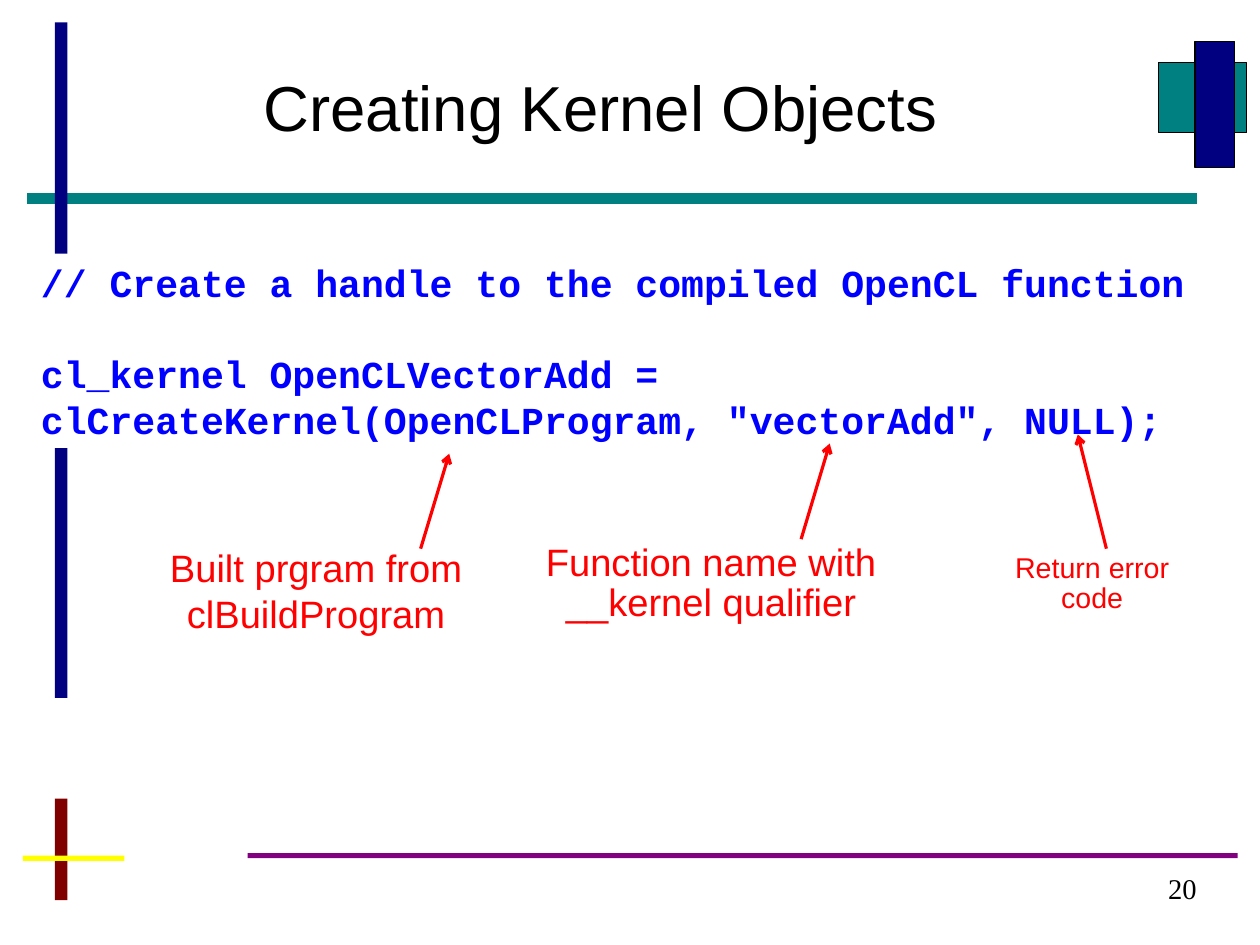
from dataclasses import dataclass

from lxml.etree import SubElement
from pptx import Presentation
from pptx.dml.color import RGBColor
from pptx.enum.shapes import MSO_CONNECTOR, MSO_SHAPE
from pptx.enum.text import MSO_ANCHOR, MSO_AUTO_SIZE, PP_ALIGN
from pptx.oxml.ns import qn
from pptx.util import Pt


@dataclass(frozen=True)
class Theme:
    """Colours, fonts and type sizes of the slide."""
    teal: str = "008080"
    navy: str = "000080"
    maroon: str = "800000"
    yellow: str = "FFFF00"
    purple: str = "800080"
    black: str = "000000"
    white: str = "FFFFFF"
    blue: str = "0000FF"
    red: str = "FF0000"
    sans: str = "Arial"
    mono: str = "Courier New"
    serif: str = "Times New Roman"
    head: int = 40
    text: int = 24
    small: int = 18


THEME = Theme()


def color(code):
    """Turn a hex code into a colour."""
    return RGBColor.from_string(code)


def add_block(slide, box, fill, edge=None):
    """Add a flat rectangle, outlined when an edge colour is given."""
    block = slide.shapes.add_shape(MSO_SHAPE.RECTANGLE, *map(Pt, box))
    block.shadow.inherit = False
    block.fill.solid()
    block.fill.fore_color.rgb = color(fill)
    if edge:
        block.line.color.rgb = color(edge)
        block.line.width = Pt(0.75)
    else:
        block.line.fill.background()
    return block


def add_line(slide, ends, shade, width, arrow=False):
    """Add a straight line, with an arrowhead at its end if asked."""
    line = slide.shapes.add_connector(MSO_CONNECTOR.STRAIGHT, *map(Pt, ends))
    line.line.color.rgb = color(shade)
    line.line.width = Pt(width)
    if arrow:
        SubElement(line.line._get_or_add_ln(), qn("a:tailEnd"), type="arrow")
    SubElement(line._element.spPr, qn("a:effectLst"))


def set_frame(shape, insets=(7.2, 3.6, 7.2, 3.6)):
    """Anchor the text at the top and set its insets."""
    frame = shape.text_frame
    frame.word_wrap = True
    frame.auto_size = MSO_AUTO_SIZE.NONE
    frame.vertical_anchor = MSO_ANCHOR.TOP
    left, top, right, bottom = map(Pt, insets)
    frame.margin_left, frame.margin_top = left, top
    frame.margin_right, frame.margin_bottom = right, bottom
    return frame


def add_text(para, text, face, size, shade, pitch, align=PP_ALIGN.CENTER, bold=False):
    """Add one formatted run to a paragraph."""
    para.alignment = align
    para.line_spacing = Pt(pitch)
    run = para.add_run()
    run.text = text
    run.font.name = face
    run.font.size = Pt(size)
    run.font.bold = bold
    run.font.color.rgb = color(shade)


def add_title(slide, text):
    """Move and fill the title placeholder."""
    title = slide.shapes.title
    title.left, title.top, title.width, title.height = map(Pt, (148.2, 45.4, 460, 49))
    frame = set_frame(title)
    add_text(frame.paragraphs[0], text, THEME.sans, THEME.head, THEME.black, 41.8)


def add_code(slide, box, groups):
    """Add groups of code lines, one line height apart, on a white panel."""
    pitch = 28.8
    frame = set_frame(add_block(slide, box, THEME.white))
    para = None
    for group in groups:
        for place, text in enumerate(group):
            first = para is None
            para = frame.paragraphs[0] if first else frame.add_paragraph()
            if place == 0 and not first:
                para.space_before = Pt(pitch)
            add_text(para, text, THEME.mono, THEME.text, THEME.blue, pitch,
                     PP_ALIGN.LEFT, True)


def add_note(slide, box, text, size, pitch, ends):
    """Add a red note and the arrow from it to the code."""
    frame = set_frame(slide.shapes.add_textbox(*map(Pt, box)))
    add_text(frame.paragraphs[0], text, THEME.sans, size, THEME.red, pitch)
    add_line(slide, ends, THEME.red, 2, True)


def add_number(slide, text):
    """Add the page number at the lower right."""
    box = slide.shapes.add_textbox(*map(Pt, (630.7, 550.8, 123.1, 32.4)))
    frame = set_frame(box, (0, 0, 0, 0))
    add_text(frame.paragraphs[0], text, THEME.serif, THEME.small, THEME.black,
             19.2, PP_ALIGN.RIGHT)


def add_decor(slide):
    """Draw the bars and blocks around the content."""
    add_line(slide, (17.3, 125.2, 753.8, 125.2), THEME.teal, 7.2)
    add_block(slide, (730.1, 39.6, 55.4, 43.9), THEME.teal, THEME.black)
    add_block(slide, (752.8, 25.9, 24.9, 79.4), THEME.navy, THEME.black)
    bars = (
        ((34.6, 14.1, 7.9, 425.5), THEME.navy),
        ((34.6, 503, 7.9, 64), THEME.maroon),
        ((14.4, 539, 64, 3.2), THEME.yellow),
        ((156, 537.4, 623.8, 3.2), THEME.purple),
    )
    for box, fill in bars:
        add_block(slide, box, fill)


def main():
    """Build the slide and save it."""
    deck = Presentation()
    deck.slide_width, deck.slide_height = Pt(793.75), Pt(595.25)
    slide = deck.slides.add_slide(deck.slide_layouts[5])
    add_decor(slide)
    add_number(slide, "20")
    add_title(slide, "Creating Kernel Objects")
    add_code(slide, (18.7, 159.8, 774, 122.4), (
        ("// Create a handle to the compiled OpenCL function",),
        ("cl_kernel OpenCLVectorAdd =",
         'clCreateKernel(OpenCLProgram, "vectorAdd", NULL);'),
    ))
    notes = (
        ((79.2, 339.6, 239.8, 64.8), "Built prgram from clBuildProgram",
         THEME.text, 28.8, (265, 345.6, 283, 285.8)),
        ((319, 339.6, 257.8, 57.6), "Function name with __kernel qualifier",
         THEME.text, 25.1, (504.7, 339.6, 522.7, 279.4)),
        ((625, 345.6, 126, 44.6), "Return error code",
         THEME.small, 18.8, (697, 345.6, 679, 273.6)),
    )
    for note in notes:
        add_note(slide, *note)
    deck.save("out.pptx")


if __name__ == "__main__":
    main()
